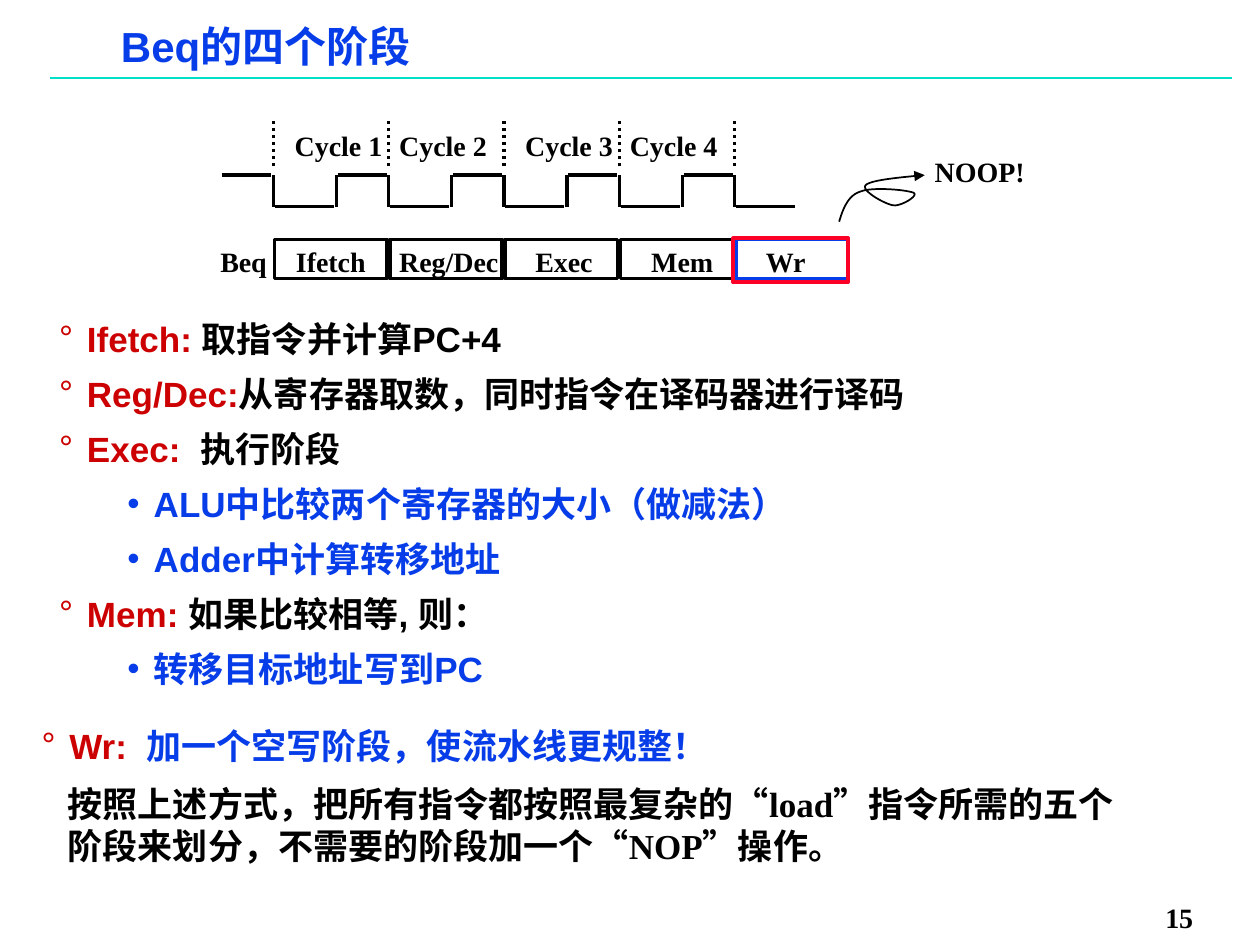
from dataclasses import dataclass

from lxml import etree
from pptx import Presentation
from pptx.dml.color import RGBColor
from pptx.enum import dml, shapes, text
from pptx.oxml import ns
from pptx.util import Inches, Pt

COLORS = {"black": "000000", "blue": "063DE8", "red": "CC0000",
          "frame": "FC0128", "rule": "00DFCA"}
SERIF, SANS = "Times New Roman", "Arial"
FIRST_EDGE, CYCLE = 2.17, 0.915
HIGH, LOW = 1.39, 1.64


@dataclass
class Span:
    words: str
    color: str = "black"


@dataclass
class Item:
    spans: list[Span]
    level: int = 0


@dataclass
class Stage:
    name: str
    left: float
    width: float
    outline: str = "black"


@dataclass
class Label:
    words: str
    left: float
    top: float
    width: float


ITEMS = [
    Item([Span("Ifetch: ", "red"), Span("取指令并计算PC+4")]),
    Item([Span("Reg/Dec:", "red"), Span("从寄存器取数，同时指令在译码器进行译码")]),
    Item([Span("Exec:  ", "red"), Span("执行阶段")]),
    Item([Span("ALU中比较两个寄存器的大小（做减法）", "blue")], 1),
    Item([Span("Adder中计算转移地址", "blue")], 1),
    Item([Span("Mem: ", "red"), Span("如果比较相等, 则：")]),
    Item([Span("转移目标地址写到PC", "blue")], 1),
]
WRITE_ITEM = Item([Span("Wr:  ", "red"), Span("加一个空写阶段，使流水线更规整！", "blue")])
STAGES = [
    Stage("Ifetch", 2.25, 0.75), Stage("Reg/Dec", 3.07, 0.99),
    Stage("Exec", 4.15, 0.65), Stage("Mem", 5.07, 0.69),
    Stage("Wr", 5.98, 0.52, "blue"),
]
LABELS = [Label(f"Cycle {number}", left, 0.97, 0.89)
          for number, left in enumerate((2.24, 3.07, 4.07, 4.9), 1)]
LABELS += [Label("Beq", 1.65, 1.89, 0.57), Label("NOOP!", 7.32, 1.18, 0.91)]
LOOP_START = (6.66, 1.76)
LOOP_CURVES = [
    ((6.69, 1.66), (6.73, 1.55), (6.83, 1.52)),
    ((6.93, 1.48), (7.21, 1.51), (7.25, 1.53)),
    ((7.3, 1.55), (7.15, 1.64), (7.09, 1.63)),
    ((7.02, 1.62), (6.83, 1.51), (6.87, 1.47)),
    ((6.91, 1.43), (7.12, 1.41), (7.34, 1.39)),
]


def rgb(color: str) -> RGBColor:
    return RGBColor.from_string(COLORS[color])


def place(shape, left: float, top: float, width: float, height: float) -> None:
    shape.left, shape.top = Inches(left), Inches(top)
    shape.width, shape.height = Inches(width), Inches(height)


def set_frame(shape, side: float, edge: float, wrap: bool = True, grow: bool = True):
    frame = shape.text_frame
    frame.margin_left = frame.margin_right = Inches(side)
    frame.margin_top = frame.margin_bottom = Inches(edge)
    frame.word_wrap = wrap
    fit = text.MSO_AUTO_SIZE
    frame.auto_size = fit.SHAPE_TO_FIT_TEXT if grow else fit.NONE
    return frame


def add_span(para, span: Span, size: float, font: str) -> None:
    run = para.add_run()
    run.text = span.words
    run.font.size, run.font.name, run.font.bold = Pt(size), font, True
    run.font.color.rgb = rgb(span.color)


def add_label(page, label: Label) -> None:
    """Add a one-line label; the slim right margin keeps it from breaking."""
    box = page.shapes.add_textbox(Inches(label.left), Inches(label.top),
                                  Inches(label.width), Inches(0.36))
    frame = set_frame(box, 0.1, 0.05, wrap=False)
    frame.margin_right = Inches(0.05)
    add_span(frame.paragraphs[0], Span(label.words), 16, SERIF)


def write_item(para, item: Item, spacing: float, before: float) -> None:
    """Fill a paragraph with a hanging, coloured bullet and its spans."""
    para.level = item.level
    para.line_spacing, para.space_before = spacing, Pt(before)
    margin, hang, mark = [(0.22, 0.22, "°"), (0.75, 0.21, "•")][item.level]
    props = para._p.get_or_add_pPr()
    props.set("marL", str(Inches(margin)))
    props.set("indent", str(-Inches(hang)))
    bullet_color = etree.SubElement(props, ns.qn("a:buClr"))
    etree.SubElement(bullet_color, ns.qn("a:srgbClr"), val=COLORS[item.spans[0].color])
    etree.SubElement(props, ns.qn("a:buFont"), typeface=SANS)
    etree.SubElement(props, ns.qn("a:buChar"), char=mark)
    for span in item.spans:
        add_span(para, span, 20, SANS)


def add_line(page, start: tuple, end: tuple, color: str = "black",
             width: float = 2, dotted: bool = False) -> None:
    line = page.shapes.add_connector(shapes.MSO_CONNECTOR.STRAIGHT,
                                     *map(Inches, start + end))
    line.line.color.rgb, line.line.width = rgb(color), Pt(width)
    if dotted:
        line.line.dash_style = dml.MSO_LINE.ROUND_DOT
    etree.SubElement(line._element.spPr, ns.qn("a:effectLst"))


def add_outline(page, left: float, top: float, width: float, height: float,
                color: str, weight: float) -> None:
    box = page.shapes.add_shape(shapes.MSO_SHAPE.RECTANGLE, Inches(left), Inches(top),
                                Inches(width), Inches(height))
    box.shadow.inherit = False
    box.fill.background()
    box.line.color.rgb, box.line.width = rgb(color), Pt(weight)


def add_clock(page) -> None:
    add_line(page, (FIRST_EDGE - 0.41, HIGH), (FIRST_EDGE - 0.02, HIGH))
    for index in range(len(STAGES)):
        edge = FIRST_EDGE + index * CYCLE
        add_line(page, (edge, 1.32), (edge, 0.96), dotted=True)
        add_line(page, (edge, HIGH), (edge, LOW))
        add_line(page, (edge + 0.01, LOW), (edge + 0.48, LOW))
        if index < len(STAGES) - 1:
            add_line(page, (edge + 0.5, LOW), (edge + 0.5, HIGH))
            add_line(page, (edge + 0.51, HIGH), (edge + 0.9, HIGH))


def curve_points(start: tuple, curves: list, steps: int = 12) -> list[tuple]:
    """Sample a chain of cubic Bezier curves."""
    points = []
    for first, second, end in curves:
        for step in range(1, steps + 1):
            t = step / steps
            weights = ((1 - t) ** 3, 3 * t * (1 - t) ** 2, 3 * t * t * (1 - t), t ** 3)
            corners = (start, first, second, end)
            points.append(tuple(Inches(sum(w * c[axis] for w, c in zip(weights, corners)))
                                for axis in (0, 1)))
        start = end
    return points


def add_loop_arrow(page) -> None:
    builder = page.shapes.build_freeform(*map(Inches, LOOP_START))
    builder.add_line_segments(curve_points(LOOP_START, LOOP_CURVES), close=False)
    loop = builder.convert_to_shape()
    loop.shadow.inherit = False
    loop.fill.background()
    loop.line.color.rgb, loop.line.width = rgb("black"), Pt(1)
    etree.SubElement(loop.line._get_or_add_ln(), ns.qn("a:tailEnd"), type="triangle")


def main() -> None:
    deck = Presentation()
    deck.slide_width, deck.slide_height = Inches(10), Inches(7.5)
    page = deck.slides.add_slide(deck.slide_layouts[1])
    add_line(page, (0.4, 0.62), (9.78, 0.62), "rule", 1)

    title, body = page.placeholders
    place(title, 0.89, 0.19, 5.19, 0.4)
    para = set_frame(title, 0.07, 0.03).paragraphs[0]
    para.alignment, para.line_spacing = text.PP_ALIGN.LEFT, 0.87
    add_span(para, Span("Beq的四个阶段", "blue"), 24, SANS)

    place(body, 0.4, 2.46, 8.96, 3.27)
    frame = set_frame(body, 0.07, 0.03, grow=False)
    for index, item in enumerate(ITEMS):
        para = frame.add_paragraph() if index else frame.paragraphs[0]
        write_item(para, item, 1.1, 5)

    add_clock(page)
    for index, stage in enumerate(STAGES):
        add_outline(page, FIRST_EDGE + index * CYCLE + 0.01, 1.9, 0.89, 0.31,
                    stage.outline, 2)
        add_label(page, Label(stage.name, stage.left, 1.89, stage.width))
    for label in LABELS:
        add_label(page, label)
    add_loop_arrow(page)
    add_outline(page, 5.82, 1.89, 0.91, 0.35, "frame", 2.25)

    box = page.shapes.add_textbox(Inches(0.26), Inches(5.7), Inches(5.76), Inches(0.41))
    write_item(set_frame(box, 0.07, 0.03).paragraphs[0], WRITE_ITEM, 1.05, 25)
    box = page.shapes.add_textbox(Inches(0.44), Inches(6.16), Inches(8.7), Inches(0.77))
    para = set_frame(box, 0.1, 0.05).paragraphs[0]
    para.space_before = Pt(12.5)
    add_span(para, Span("按照上述方式，把所有指令都按照最复杂的“load”指令所需的五个"
                        "阶段来划分，不需要的阶段加一个“NOP”操作。"), 20, SERIF)
    box = page.shapes.add_textbox(Inches(9.15), Inches(7.1), Inches(0.85), Inches(0.4))
    add_span(set_frame(box, 0.1, 0.05, grow=False).paragraphs[0], Span("15"), 16, SERIF)
    deck.save("out.pptx")


if __name__ == "__main__":
    main()
